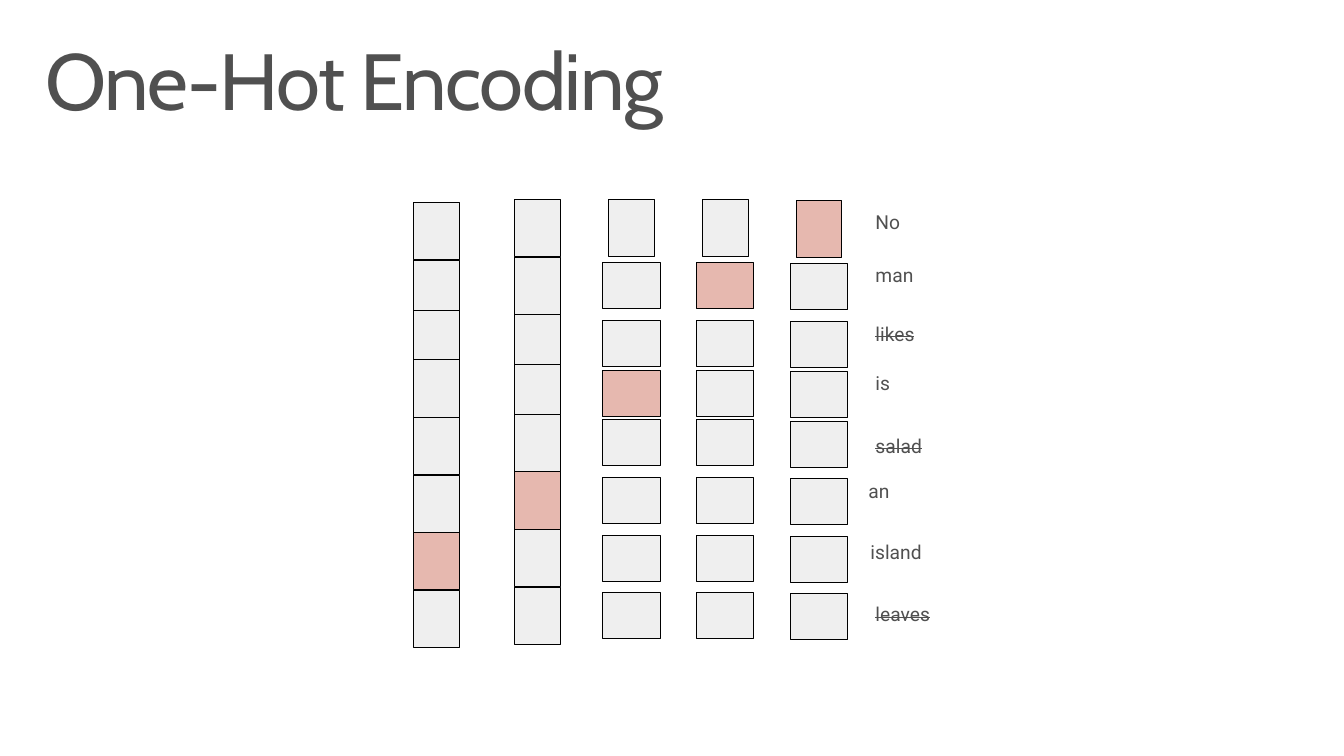
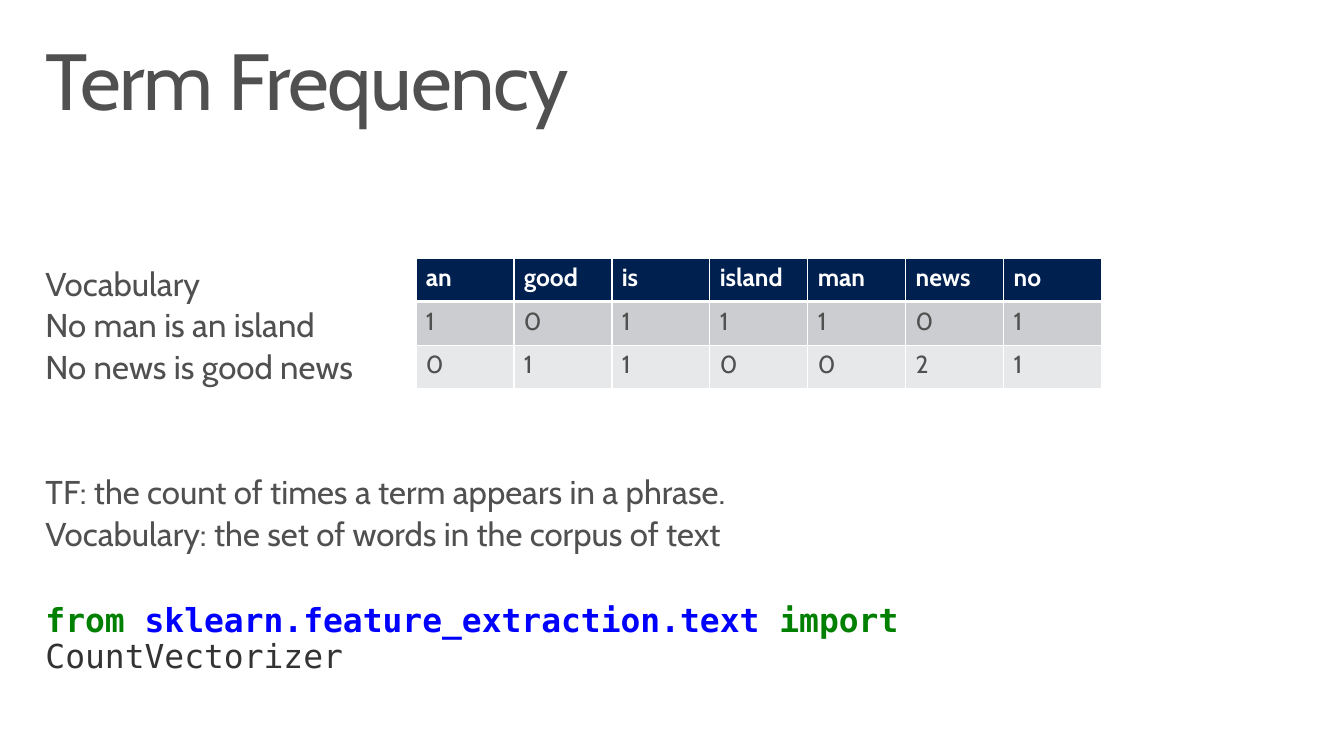
"""Build two slides on one-hot encoding and term frequency."""
from itertools import accumulate

from lxml.etree import SubElement
from pptx import Presentation
from pptx.dml.color import RGBColor
from pptx.enum.shapes import MSO_SHAPE
from pptx.enum.text import MSO_ANCHOR, MSO_AUTO_SIZE, PP_ALIGN
from pptx.oxml.ns import qn
from pptx.util import Cm, Pt

COLORS = {
    "text": "505050", "white": "FFFFFF", "black": "000000",
    "cold": "EFEFEF", "hot": "E6B8AF",
    "header": "002050", "band1": "CCCDD0", "band2": "E7E8E9",
    "keyword": "008000", "namespace": "0000FF", "code": "333333",
}
TITLE = {"name": "Cabin", "size": Pt(58), "bold": False}
BODY = {"name": "Cabin", "size": Pt(24), "bold": False}
LABEL = {"name": "Roboto", "size": Pt(14), "bold": False}
CELL = {"name": "Cabin", "size": Pt(18), "bold": False}
CODE = {"name": "DejaVu Sans Mono", "size": Pt(24), "bold": False}

TITLE_INSETS = (0.41, 0.25, 0.41, 0.25)
LABEL_INSETS = (0.25, 0.25, 0.25, 0.25)

CELL_W, CELL_H = 1.18, 1.47
STEP, SHORT_STEP = 1.48, 1.28
EARLY, LATE = (1, 2), (2, 3)
VECTORS = [
    (10.62, 5.21, 6, EARLY, False),
    (13.23, 5.13, 5, LATE, False),
    (15.64, 5.13, 3, LATE, True),
    (18.05, 5.13, 1, LATE, True),
    (20.46, 5.16, 0, LATE, True),
]
WORDS = [
    ("No", 22.25, 5.16, False), ("man", 22.25, 6.53, False),
    ("likes", 22.25, 8.03, True), ("is", 22.25, 9.3, False),
    ("salad", 22.25, 10.9, True), ("an", 22.07, 12.07, False),
    ("island", 22.12, 13.64, False), ("leaves", 22.25, 15.24, True),
]
COUNTS = [
    ["an", "good", "is", "island", "man", "news", "no"],
    [1, 0, 1, 1, 1, 0, 1],
    [0, 1, 1, 0, 0, 2, 1],
]
LINES = [
    ("Vocabulary", 0),
    ("No man is an island", 4.4),
    ("No news is good news", 4.4),
    ("TF: the count of times a term appears in a phrase.", 65.6),
    ("Vocabulary: the set of words in the corpus of text", 4.4),
]
IMPORT_LINE = [
    ("from ", "keyword", True),
    ("sklearn.feature_extraction.text ", "namespace", True),
    ("import ", "keyword", True),
    ("CountVectorizer", "code", False),
]


def rgb(key):
    """Return the named colour."""
    return RGBColor.from_string(COLORS[key])


def add_run(p, text, style, color="text", **extra):
    """Add a formatted run to a paragraph."""
    r = p.add_run()
    r.text = text
    for name, value in {**style, **extra}.items():
        setattr(r.font, name, value)
    r.font.color.rgb = rgb(color)
    return r


def set_frame(tf, insets):
    """Set wrapping, anchor and insets of a text frame."""
    left, top, right, bottom = map(Cm, insets)
    frame = {
        "word_wrap": True, "auto_size": MSO_AUTO_SIZE.NONE,
        "vertical_anchor": MSO_ANCHOR.TOP,
        "margin_left": left, "margin_top": top,
        "margin_right": right, "margin_bottom": bottom,
    }
    for name, value in frame.items():
        setattr(tf, name, value)


def add_title_slide(prs, title, height):
    """Add a title-only slide with the shared title style."""
    s = prs.slides.add_slide(prs.slide_layouts[5])
    sp = s.shapes.title
    box = {"left": 0.76, "top": 0.81, "width": 33.02, "height": height}
    for name, value in box.items():
        setattr(sp, name, Cm(value))
    set_frame(sp.text_frame, TITLE_INSETS)
    p = sp.text_frame.paragraphs[0]
    p.alignment = PP_ALIGN.LEFT
    p.line_spacing = 0.9
    r = add_run(p, title, TITLE)
    r.font._element.set("spc", "-100")
    return s


def add_vector(s, x, y, hot, short_rows, turned):
    """Draw one word vector as a column of eight cells."""
    shapes = s.shapes.add_group_shape().shapes
    steps = [SHORT_STEP if row in short_rows else STEP for row in range(7)]
    for row, offset in enumerate(accumulate(steps, initial=0)):
        sp = shapes.add_shape(MSO_SHAPE.RECTANGLE, Cm(x), Cm(y + offset),
                              Cm(CELL_W), Cm(CELL_H))
        sp.rotation = 90 if turned and row else 0
        sp.shadow.inherit = False
        sp.fill.solid()
        sp.fill.fore_color.rgb = rgb("hot" if row == hot else "cold")
        sp.line.color.rgb = rgb("black")
        sp.line.width = Pt(0.75)


def add_word(shapes, text, x, y, struck):
    """Write one vocabulary word, struck out when it is unused."""
    sp = shapes.add_textbox(Cm(x), Cm(y), Cm(3.5), Cm(1.63))
    set_frame(sp.text_frame, LABEL_INSETS)
    r = add_run(sp.text_frame.paragraphs[0], text, LABEL)
    if struck:
        r.font._element.set("strike", "sngStrike")


def add_notes_text(s, x, y, w, h):
    """Write the phrases, definitions and import line in one box."""
    tf = s.shapes.add_textbox(Cm(x), Cm(y), Cm(w), Cm(h)).text_frame
    set_frame(tf, TITLE_INSETS)
    p = tf.paragraphs[0]
    for text, before in LINES:
        if before:
            p = tf.add_paragraph()
        p.space_before = Pt(before)
        p.line_spacing = 0.9
        add_run(p, text, BODY)
    p = tf.add_paragraph()
    p.space_before = Pt(37)
    p.line_spacing = 0.9
    for text, color, bold in IMPORT_LINE:
        add_run(p, text, CODE, color, bold=bold)


def set_borders(cell, bottom):
    """Give a cell white borders with the given bottom width."""
    tc_pr = cell._tc.get_or_add_tcPr()
    for side, width in {"L": 1, "R": 1, "T": 1, "B": bottom}.items():
        ln = SubElement(tc_pr, qn(f"a:ln{side}"), w=str(Pt(width)))
        fill = SubElement(ln, qn("a:solidFill"))
        SubElement(fill, qn("a:srgbClr"), val=COLORS["white"])


def add_count_table(s, x, y, w, h):
    """Draw the term counts as a table."""
    tbl = s.shapes.add_table(len(COUNTS), len(COUNTS[0]),
                             Cm(x), Cm(y), Cm(w), Cm(h)).table
    tbl.horz_banding = False
    for i, (values, fill) in enumerate(zip(COUNTS, ("header", "band1", "band2"))):
        header = i == 0
        for j, value in enumerate(values):
            cell = tbl.cell(i, j)
            set_borders(cell, 3 if header else 1)
            cell.fill.solid()
            cell.fill.fore_color.rgb = rgb(fill)
            add_run(cell.text_frame.paragraphs[0], str(value), CELL,
                    "white" if header else "text", bold=header)


def one_hot_slide(prs):
    """Build the one-hot encoding slide."""
    s = add_title_slide(prs, "One-Hot Encoding", 3.07)
    for vector in VECTORS:
        add_vector(s, *vector)
    labels = s.shapes.add_group_shape().shapes
    for word in WORDS:
        add_word(labels, *word)


def term_frequency_slide(prs):
    """Build the term frequency slide."""
    s = add_title_slide(prs, "Term Frequency", 5.08)
    add_notes_text(s, 0.76, 6.63, 25.83, 11.58)
    add_count_table(s, 10.69, 6.63, 17.63, 3.36)


def main():
    """Build and save the presentation."""
    prs = Presentation()
    prs.slide_width, prs.slide_height = Cm(34.54), Cm(19.43)
    one_hot_slide(prs)
    term_frequency_slide(prs)
    prs.save("out.pptx")


if __name__ == "__main__":
    main()
